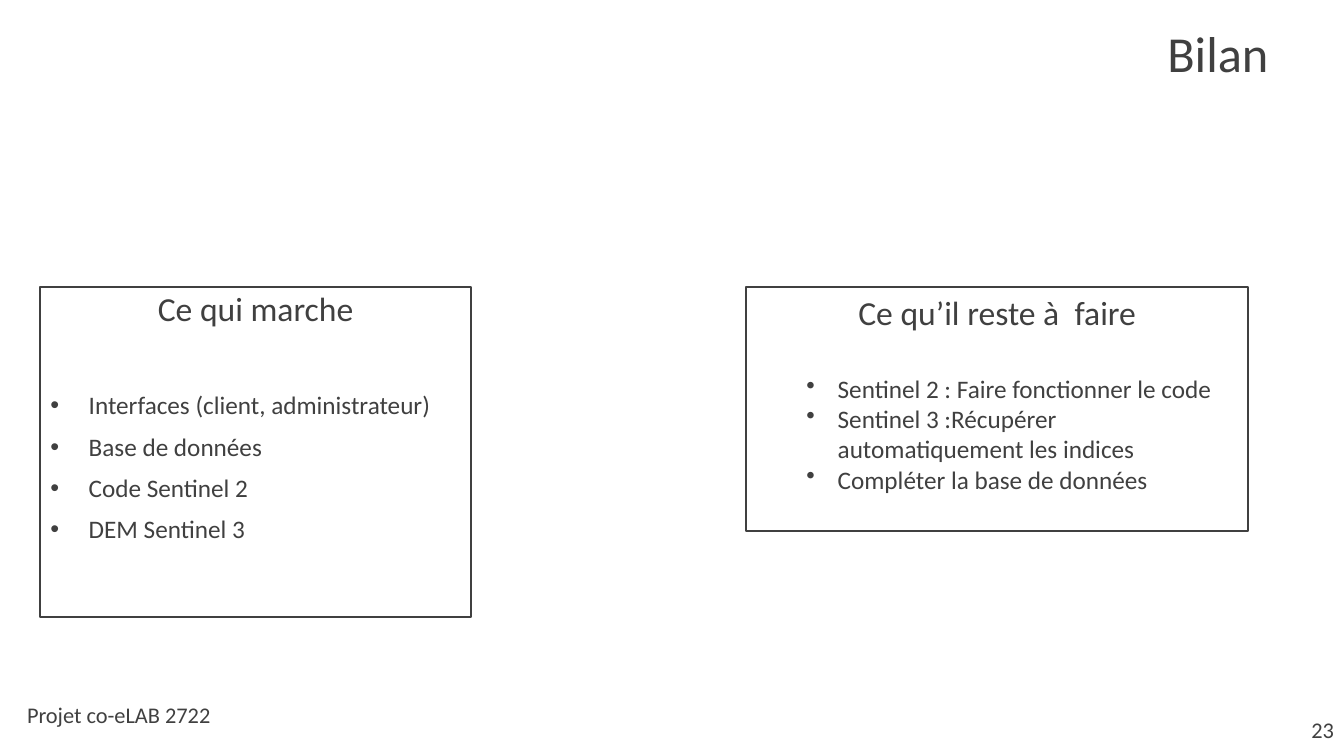
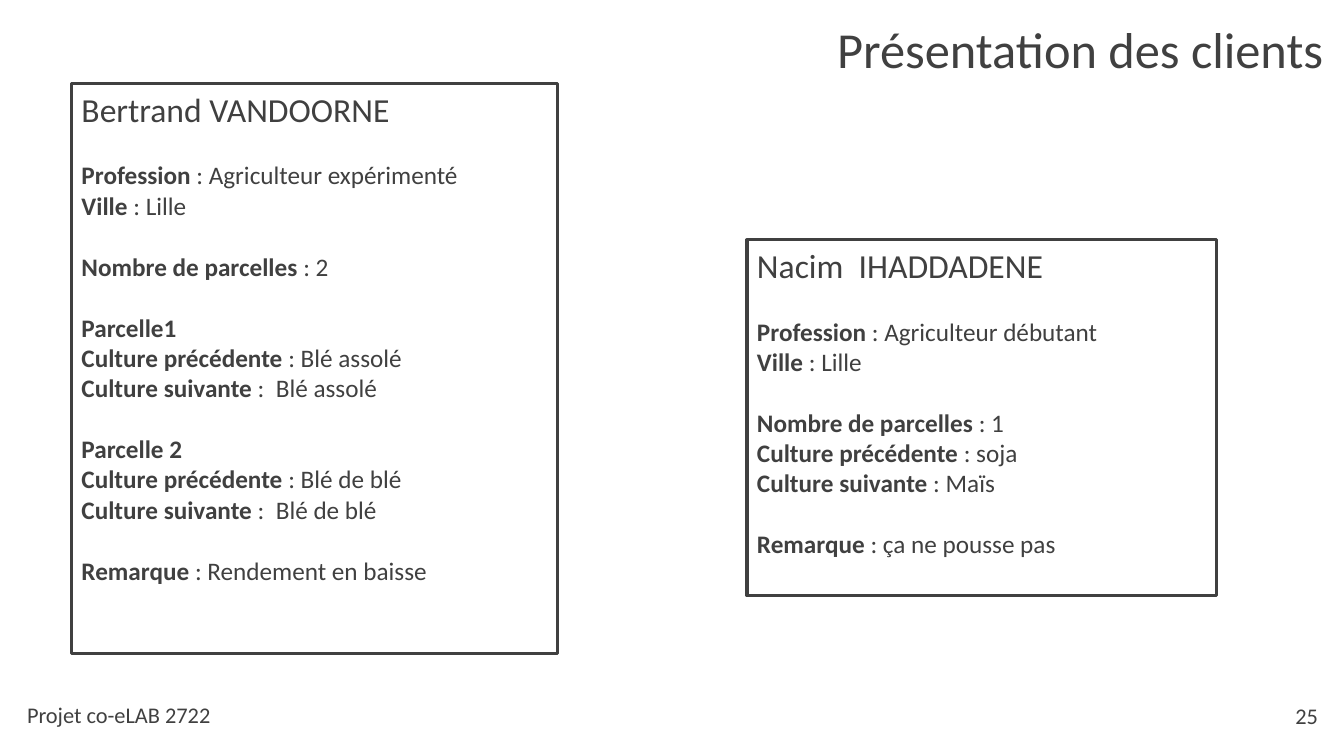
"""Build the review slide and the client slide of the project deck."""
from pptx import Presentation
from pptx.dml.color import RGBColor
from pptx.enum.shapes import MSO_SHAPE as Shape
from pptx.enum.text import MSO_ANCHOR as Anchor, MSO_AUTO_SIZE as Auto, PP_ALIGN as Align
from pptx.oxml.xmlchemy import OxmlElement as Tag
from pptx.util import Inches, Pt

INK = RGBColor.from_string("404040")
FONT = "Calibri"


def place(shape, spot, anchor=Anchor.TOP, line=0):
    """Set the position, text frame and outline of a shape; return its frame."""
    shape.left, shape.top, shape.width, shape.height = [Inches(n) for n in spot]
    frame = shape.text_frame
    frame.word_wrap = True
    frame.auto_size = Auto.NONE
    frame.vertical_anchor = anchor
    if line:
        shape.fill.background()
        shape.line.color.rgb = INK
        shape.line.width = Pt(line)
    return frame


def style(par, size, align=Align.LEFT, gap=0, pitch=1.0, indent=None):
    """Format a paragraph and its runs, with a bullet if an indent is given."""
    props = par._p.get_or_add_pPr()
    left, hang = indent or (0, 0)
    props.set("marL", str(Inches(left)))
    props.set("indent", str(-Inches(hang)))
    mark = Tag("a:buChar" if indent else "a:buNone")
    if indent:
        mark.set("char", "•")
    props.append(mark)
    par.alignment = align
    par.space_before = Pt(gap)
    par.line_spacing = pitch
    for run in par.runs:
        run.font.name = FONT
        run.font.size = Pt(size)
        run.font.color.rgb = INK


deck = Presentation()
deck.slide_width, deck.slide_height = Inches(13.33), Inches(7.5)

pages = [
    (1, "Bilan", (10.83, 0, 2.5, 0.88), "23", (10.33, 7.04, 3, 0.4)),
    (5, "Présentation des clients", (8.1, 0, 5.23, 0.84), "25", (10.17, 6.9, 3, 0.4)),
]
for layout, title, spot, number, corner in pages:
    slide = deck.slides.add_slide(deck.slide_layouts[layout])
    frame = place(slide.shapes.title, spot, Anchor.BOTTOM)
    frame.text = title
    style(frame.paragraphs[0], 36, Align.CENTER, pitch=0.9)
    notes = [
        ("Projet co-eLAB 2722", (0.17, 6.91, 4.5, 0.4), Anchor.TOP, Align.LEFT),
        (number, corner, Anchor.MIDDLE, Align.RIGHT),
    ]
    for text, spot, anchor, align in notes:
        frame = place(slide.shapes.add_textbox(0, 0, 0, 0), spot, anchor)
        frame.text = text
        style(frame.paragraphs[0], 16, align)

review, clients = deck.slides

done = review.placeholders[1]
todo = review.shapes.add_shape(Shape.RECTANGLE, 0, 0, 0, 0)
todo.shadow.inherit = False
panels = [
    (done, (0.4, 2.85, 4.27, 3.27), 0.9, 10, 46, (0.38, 0.38), [
        "Ce qui marche",
        "Interfaces (client, administrateur)",
        "Base de données",
        "Code Sentinel 2",
        "DEM Sentinel 3",
    ]),
    (todo, (7.4, 2.85, 4.98, 2.42), 1.0, 0, 29, (0.81, 0.31), [
        "Ce qu’il reste à  faire",
        "Sentinel 2 : Faire fonctionner le code",
        "Sentinel 3 :Récupérer automatiquement les indices",
        "Compléter la base de données",
    ]),
]
for shape, spot, pitch, gap, skip, indent, lines in panels:
    frame = place(shape, spot, line=1.5)
    frame.text = "\n".join(lines)
    head, first, *rest = frame.paragraphs
    style(head, 24, Align.CENTER, pitch=pitch)
    style(first, 18, gap=skip, pitch=pitch, indent=indent)
    for par in rest:
        style(par, 18, gap=gap, pitch=pitch, indent=indent)

cards = [
    ("Nacim  IHADDADENE", (7.41, 2.38, 4.66, 3.53), [
        ["Profession : Agriculteur débutant", "Ville : Lille"],
        ["Nombre de parcelles : 1", "Culture précédente : soja", "Culture suivante : Maïs"],
        ["Remarque : ça ne pousse pas"],
    ]),
    ("Bertrand VANDOORNE", (0.71, 0.83, 4.82, 5.65), [
        ["Profession : Agriculteur expérimenté", "Ville : Lille"],
        ["Nombre de parcelles : 2"],
        ["Parcelle1", "Culture précédente : Blé assolé", "Culture suivante :  Blé assolé"],
        ["Parcelle 2", "Culture précédente : Blé de blé", "Culture suivante :  Blé de blé"],
        ["Remarque : Rendement en baisse"],
    ]),
]
for name, spot, groups in cards:
    card = clients.shapes.add_shape(Shape.RECTANGLE, 0, 0, 0, 0)
    card.shadow.inherit = False
    frame = place(card, spot, line=2.25)
    frame.text = name
    style(frame.paragraphs[0], 24)
    for group in groups:
        for row, text in enumerate(group):
            label, colon, value = text.partition(" :")
            par = frame.add_paragraph()
            par.text = label
            par.runs[0].font.bold = True
            if colon:
                par.add_run().text = colon + value
            style(par, 18, gap=0 if row else 22)

deck.save("out.pptx")
